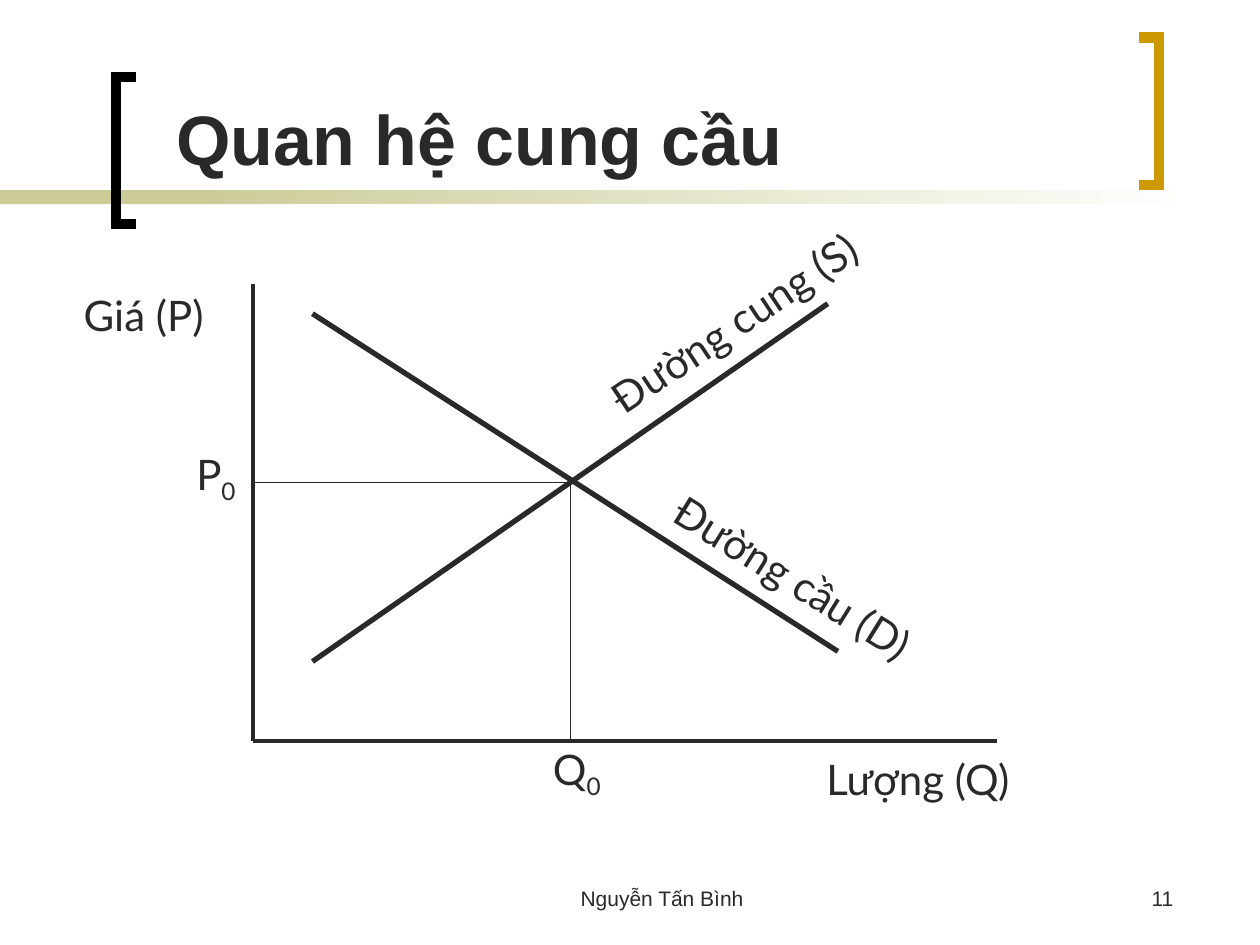
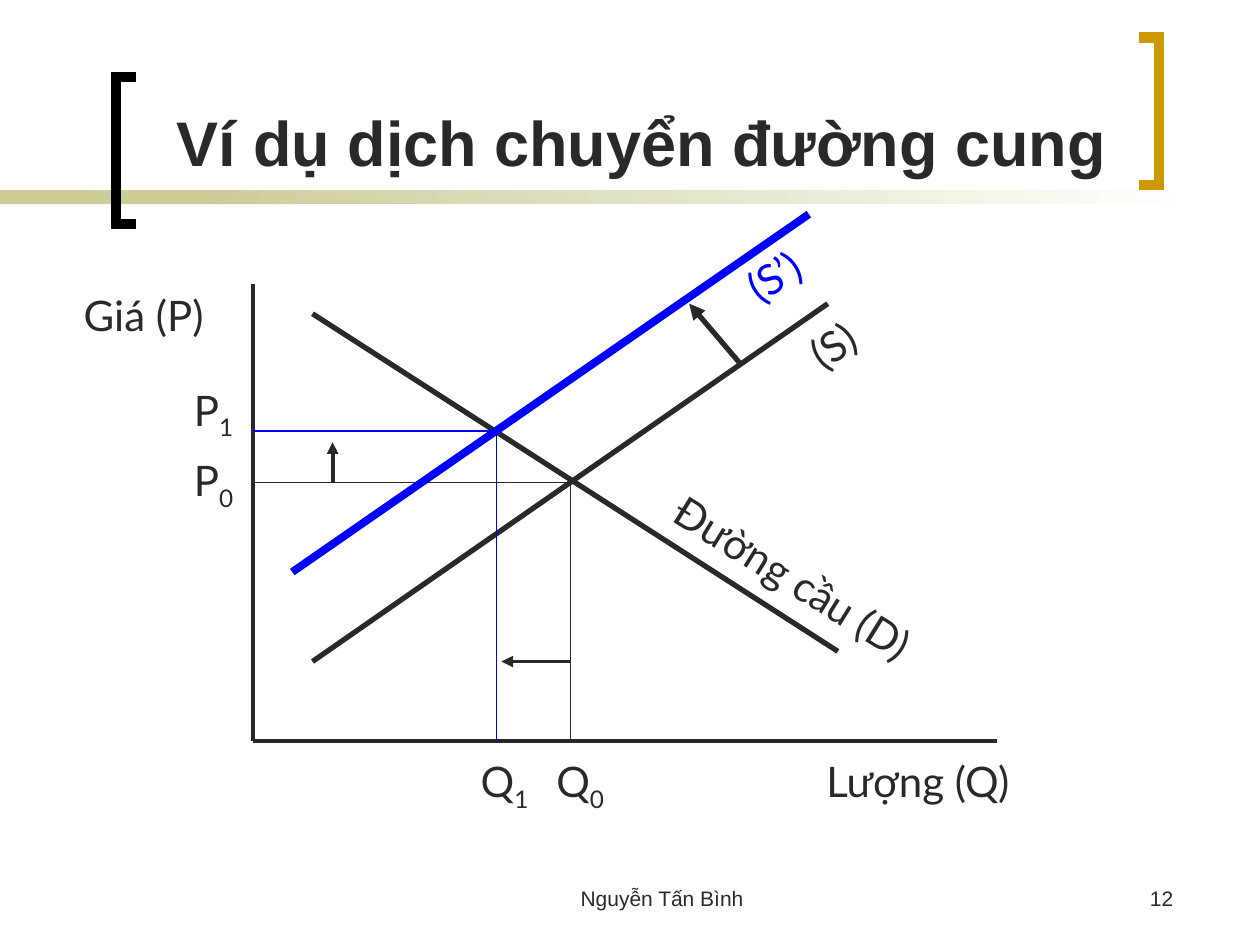
from dataclasses import dataclass

from lxml.etree import SubElement
from pptx import Presentation
from pptx.dml.color import RGBColor
from pptx.enum.shapes import MSO_CONNECTOR, MSO_SHAPE
from pptx.enum.text import MSO_ANCHOR, MSO_AUTO_SIZE, PP_ALIGN
from pptx.oxml.ns import qn
from pptx.util import Emu, Pt

PX = 9144  # 100 px to the inch


@dataclass(frozen=True)
class Theme:
    ink: str = "292929"
    shifted: str = "0000FF"
    band: str = "CCCC99"
    paper: str = "FFFFFF"
    left_bracket: str = "000000"
    right_bracket: str = "CC9900"
    title_font: str = "Arial"
    label_font: str = "Lato"
    label_size: int = 24
    footer_size: int = 12
    bracket_line: float = 6
    axis_line: float = 2.25
    curve_line: float = 3
    shifted_line: float = 4.5
    guide_line: float = 0.75


THEME = Theme()
INK, BLUE = THEME.ink, THEME.shifted
LEFT, CENTER, RIGHT = PP_ALIGN.LEFT, PP_ALIGN.CENTER, PP_ALIGN.RIGHT

# Shared diagram: axes, curves and the starting equilibrium
ORIGIN_X, ORIGIN_Y = 201, 588
QUANTITY_0, PRICE_0 = 453, 383
QUANTITY_1, PRICE_1 = 394, 342
SUPPLY_ANGLE, DEMAND_ANGLE = 326.2, 31.9

# Lines: start, end, colour, width, arrowhead
BASE_LINES = [
    ((ORIGIN_X, ORIGIN_Y), (ORIGIN_X, 225), INK, THEME.axis_line, False),
    ((ORIGIN_X, ORIGIN_Y), (791, ORIGIN_Y), INK, THEME.axis_line, False),
    ((248, 525), (657, 241), INK, THEME.curve_line, False),
    ((248, 249), (665, 517), INK, THEME.curve_line, False),
    ((QUANTITY_0, PRICE_0), (QUANTITY_0, ORIGIN_Y), INK, THEME.guide_line, False),
    ((QUANTITY_0, PRICE_0), (ORIGIN_X, PRICE_0), INK, THEME.guide_line, False),
]
SHIFT_LINES = [
    ((232, 454), (642, 170), BLUE, THEME.shifted_line, False),
    ((587, 288), (547, 241), INK, THEME.curve_line, True),
    ((QUANTITY_1, 344), (QUANTITY_1, ORIGIN_Y), BLUE, THEME.guide_line, False),
    ((QUANTITY_0, 525), (398, 525), INK, THEME.axis_line, True),
    ((390, PRICE_1), (ORIGIN_X, PRICE_1), BLUE, THEME.guide_line, False),
    ((264, PRICE_0), (264, 351), INK, THEME.axis_line, True),
]

# Labels: text, subscript, (left, top, width, height), rotation, colour, alignment
BASE_LABELS = [
    ("Giá (P)", "", (43, 225, 142, 50), 0, INK, CENTER),
    ("Đường cầu (D)", "", (484, 433, 291, 50), DEMAND_ANGLE, INK, CENTER),
]
SLIDES = [
    {
        "title": "Quan hệ cung cầu", "size": 40, "width": 709, "number": "11",
        "lines": [],
        "labels": [
            ("Lượng (Q)", "", (642, 593, 173, 90), 0, INK, CENTER),
            ("Đường cung (S)", "", (437, 231, 291, 50), SUPPLY_ANGLE, INK, CENTER),
            ("Q", "0", (429, 585, 63, 56), 0, INK, LEFT),
            ("P", "0", (146, 351, 63, 56), 0, INK, LEFT),
        ],
    },
    {
        "title": "Ví dụ dịch chuyển đường cung", "size": 36, "width": 764, "number": "12",
        "lines": SHIFT_LINES,
        "labels": [
            ("Lượng (Q)", "", (642, 595, 173, 90), 0, INK, CENTER),
            ("(S)", "", (602, 249, 118, 50), SUPPLY_ANGLE, INK, CENTER),
            ("(S’)", "", (555, 194, 118, 50), SUPPLY_ANGLE, BLUE, CENTER),
            ("Q", "0", (421, 595, 79, 56), 0, INK, CENTER),
            ("Q", "1", (361, 595, 79, 56), 0, INK, CENTER),
            ("P", "0", (130, 356, 79, 56), 0, INK, CENTER),
            ("P", "1", (130, 300, 79, 56), 0, INK, CENTER),
        ],
    },
]
FOOTER = "Nguyễn Tấn Bình"

# Brackets: outer x, inner x, top, colour
BRACKETS = [(92, 108, 61, THEME.left_bracket), (920, 904, 30, THEME.right_bracket)]
BRACKET_HEIGHT = 117


def px(*values):
    return [Emu(value * PX) for value in values]


def rgb(code):
    return RGBColor.from_string(code)


def add_span(para, text, font, size, color, bold=False):
    span = para.add_run()
    span.text = text
    span.font.name, span.font.size, span.font.bold = font, Pt(size), bold
    span.font.color.rgb = rgb(color)
    return span


def add_box(page, place, align, rotation=0):
    """Add an empty text box and return its first paragraph."""
    box = page.shapes.add_textbox(*px(*place))
    box.rotation = rotation
    box.text_frame.word_wrap = True
    para = box.text_frame.paragraphs[0]
    para.alignment = align
    return para


def add_label(page, text, subscript, place, rotation, color, align):
    para = add_box(page, place, align, rotation)
    style = (THEME.label_font, THEME.label_size, color)
    add_span(para, text, *style)
    if subscript:
        span = add_span(para, subscript, *style)
        span.font._element.set("baseline", "-25000")


def add_line(page, start, end, color, width, arrow):
    line = page.shapes.add_connector(MSO_CONNECTOR.STRAIGHT, *px(*start, *end))
    line.line.color.rgb = rgb(color)
    line.line.width = Pt(width)
    if arrow:
        SubElement(line.line._get_or_add_ln(), qn("a:tailEnd"), type="triangle")
    SubElement(line._element.spPr, qn("a:effectLst"))


def add_band(page, place):
    band = page.shapes.add_shape(MSO_SHAPE.RECTANGLE, *px(*place))
    band.shadow.inherit = False
    band.line.fill.background()
    return band.fill


def add_bracket(page, outer, inner, top, color):
    bottom = top + BRACKET_HEIGHT
    builder = page.shapes.build_freeform(inner, top, scale=PX)
    builder.add_line_segments([(outer, top), (outer, bottom), (inner, bottom)], close=False)
    bracket = builder.convert_to_shape()
    bracket.shadow.inherit = False
    bracket.fill.background()
    bracket.line.color.rgb = rgb(color)
    bracket.line.width = Pt(THEME.bracket_line)
    SubElement(bracket.line._get_or_add_ln(), qn("a:miter"), lim="800000")


def add_frame(page, number):
    # Band under the title, fading to the right
    solid = add_band(page, (0, 151, 233, 11))
    solid.solid()
    solid.fore_color.rgb = rgb(THEME.band)
    fade = add_band(page, (158, 151, 792, 11))
    fade.gradient()
    fade.gradient_angle = 180
    for stop, color in zip(fade.gradient_stops, (THEME.paper, THEME.band)):
        stop.color.rgb = rgb(color)
    for bracket in BRACKETS:
        add_bracket(page, *bracket)
    # Footer and page number
    for text, left, width, align in ((FOOTER, 367, 317, CENTER), (number, 733, 208, RIGHT)):
        para = add_box(page, (left, 698, width, 35), align)
        add_span(para, text, THEME.title_font, THEME.footer_size, INK)


def set_title(page, text, size, width):
    title = page.shapes.title
    title.left, title.top, title.width, title.height = px(130, 68, width, 79)
    frame = title.text_frame
    frame.auto_size = MSO_AUTO_SIZE.NONE
    frame.vertical_anchor = MSO_ANCHOR.BOTTOM
    para = frame.paragraphs[0]
    para.alignment, para.line_spacing = LEFT, 0.8
    add_span(para, text, THEME.title_font, size, INK, bold=True)


def main():
    deck = Presentation()
    deck.slide_width, deck.slide_height = px(1000, 750)
    title_only = deck.slide_layouts[5]
    for content in SLIDES:
        page = deck.slides.add_slide(title_only)
        add_frame(page, content["number"])
        set_title(page, content["title"], content["size"], content["width"])
        for line in BASE_LINES + content["lines"]:
            add_line(page, *line)
        for label in BASE_LABELS + content["labels"]:
            add_label(page, *label)
    deck.save("out.pptx")


if __name__ == "__main__":
    main()
